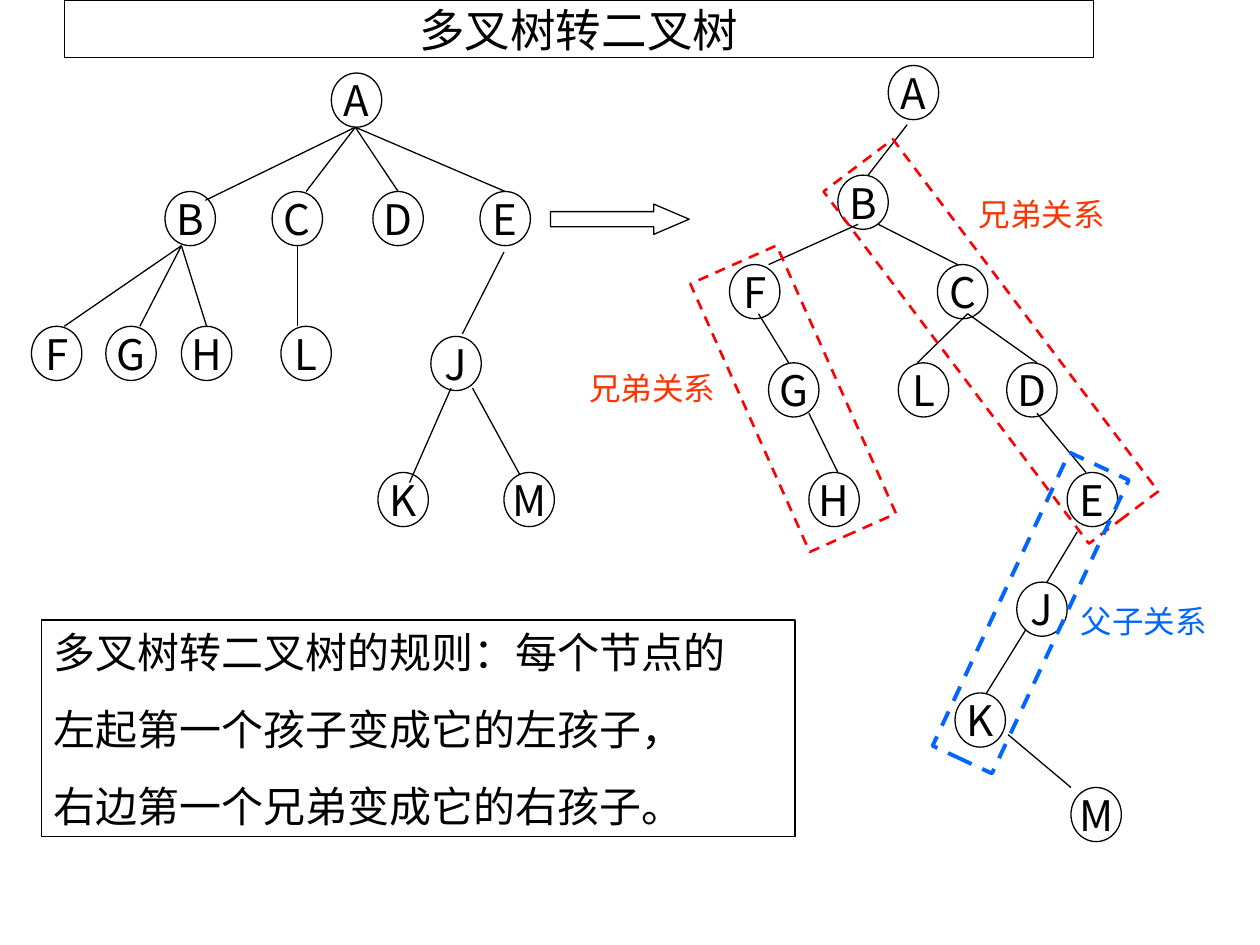
import pptx
import pptx.dml.color
import pptx.enum.dml
import pptx.enum.shapes
import pptx.enum.text
import pptx.oxml.ns
import pptx.util
from lxml import etree
from pptx.util import Inches

RGBColor = pptx.dml.color.RGBColor
SHAPE = pptx.enum.shapes.MSO_SHAPE
ALIGN = pptx.enum.text.PP_ALIGN
ANCHOR = pptx.enum.text.MSO_ANCHOR

BLACK = RGBColor(0x00, 0x00, 0x00)
WHITE = RGBColor(0xFF, 0xFF, 0xFF)
RED = RGBColor(0xFF, 0x00, 0x00)
ORANGE = RGBColor(0xFF, 0x33, 0x00)
BLUE = RGBColor(0x00, 0x66, 0xFF)

NODE_WIDTH, NODE_HEIGHT = 0.4, 0.43

# Node corners and edge fans (start point, end points), in inches from the tree's corner
MULTIWAY_NODES = {
    "A": (2.38, 0), "B": (1.06, 0.94), "C": (1.91, 0.94), "D": (2.71, 0.94),
    "E": (3.56, 0.94), "F": (0, 2.01), "G": (0.59, 2.01), "H": (1.19, 2.01),
    "L": (1.98, 2.01), "J": (3.17, 2.09), "K": (2.75, 3.17), "M": (3.75, 3.17),
}
MULTIWAY_EDGES = [
    ((2.57, 0.43), [(1.38, 1.01), (2.18, 0.94), (2.91, 0.94), (3.76, 0.94)]),
    ((1.19, 1.37), [(0.26, 2.01), (0.86, 2.01), (1.39, 2.01)]),
    ((2.11, 1.37), [(2.11, 2.01)]),
    ((3.75, 1.42), [(3.42, 2.07)]),
    ((3.33, 2.5), [(3, 3.25)]),
    ((3.5, 2.5), [(3.91, 3.25)]),
]
BINARY_NODES = {
    "A": (1.26, 0), "B": (0.86, 0.87), "C": (1.65, 1.58), "D": (2.2, 2.36),
    "E": (2.68, 3.23), "F": (0, 1.58), "G": (0.31, 2.36), "H": (0.63, 3.23),
    "L": (1.34, 2.36), "J": (2.28, 4.1), "K": (1.79, 4.98), "M": (2.71, 5.73),
}
BINARY_EDGES = [
    ((1.41, 0.47), [(1.1, 0.87)]),
    ((1.02, 1.26), [(0.31, 1.58)]),
    ((1.18, 1.26), [(1.81, 1.58)]),
    ((0.23, 1.97), [(0.47, 2.36)]),
    ((1.89, 1.97), [(1.49, 2.36), (2.44, 2.36)]),
    ((0.63, 2.76), [(0.86, 3.23)]),
    ((2.44, 2.76), [(2.83, 3.23)]),
    ((2.76, 3.7), [(2.52, 4.1)]),
    ((2.35, 4.48), [(2.04, 4.98)]),
    ((2.21, 5.31), [(2.71, 5.73)]),
]


def add_outline(page, kind, box, fill=None, color=BLACK, width=0.75):
    shape = page.shapes.add_shape(kind, *map(Inches, box))
    shape.shadow.inherit = False
    if fill is None:
        shape.fill.background()
    else:
        shape.fill.solid()
        shape.fill.fore_color.rgb = fill
    shape.line.color.rgb = color
    shape.line.width = pptx.util.Pt(width)
    return shape


def write_text(shape, text, size, font, color=BLACK, align=ALIGN.LEFT,
               anchor=ANCHOR.TOP, wrap=True, side=0.1):
    frame = shape.text_frame
    frame.text = text
    frame.word_wrap = wrap
    frame.vertical_anchor = anchor
    frame.margin_left = frame.margin_right = Inches(side)
    frame.margin_top = frame.margin_bottom = Inches(0.05)
    for para in frame.paragraphs:
        para.alignment = align
        for span in para.runs:
            span.font.size = pptx.util.Pt(size)
            span.font.name = font
            span.font.color.rgb = color
            # East Asian characters take their typeface from a:ea
            east_asian = etree.SubElement(span.font._element, pptx.oxml.ns.qn("a:ea"))
            east_asian.set("typeface", "Noto Sans CJK SC" if font == "Arial" else font)
    return frame


def add_node(page, name, left, top):
    node = add_outline(page, SHAPE.OVAL, (left, top, NODE_WIDTH, NODE_HEIGHT), WHITE)
    write_text(node, name, 24, "Noto Sans CJK JP", align=ALIGN.CENTER,
               anchor=ANCHOR.MIDDLE, wrap=False)


def add_edge(page, start, end):
    edge = page.shapes.add_connector(pptx.enum.shapes.MSO_CONNECTOR.STRAIGHT,
                                     *map(Inches, (*start, *end)))
    edge.line.color.rgb = BLACK
    edge.line.width = pptx.util.Pt(0.75)
    etree.SubElement(edge._element.spPr, pptx.oxml.ns.qn("a:effectLst"))


def add_tree(page, corner, nodes, edges):
    def place(point):
        return corner[0] + point[0], corner[1] + point[1]

    # The last node covers the end of its edge
    *back_names, front_name = nodes
    for name in back_names:
        add_node(page, name, *place(nodes[name]))
    for start, ends in edges:
        for end in ends:
            add_edge(page, place(start), place(end))
    add_node(page, front_name, *place(nodes[front_name]))


def add_relation(page, frame_box, angle, frame_color, width, text, text_corner, text_color):
    frame = add_outline(page, SHAPE.RECTANGLE, frame_box, color=frame_color, width=width)
    frame.rotation = angle
    frame.line.dash_style = pptx.enum.dml.MSO_LINE.DASH
    label = page.shapes.add_textbox(*map(Inches, (*text_corner, 1.33, 0.4)))
    write_text(label, text, 18, "Arial", text_color)


def add_title(page, box):
    title = add_outline(page, SHAPE.RECTANGLE, box)
    write_text(title, "多叉树转二叉树", 26, "Arial", align=ALIGN.CENTER,
               anchor=ANCHOR.MIDDLE, side=0.05)


def add_rule(page, box):
    rule = add_outline(page, SHAPE.RECTANGLE, box, WHITE)
    frame = write_text(rule, "多叉树转二叉树的规则：每个节点的\n"
                             "左起第一个孩子变成它的左孩子，\n"
                             "右边第一个兄弟变成它的右孩子。", 24, "Noto Sans CJK SC")
    for index, para in enumerate(frame.paragraphs):
        para.line_spacing = pptx.util.Pt(29)
        if index:
            para.space_before = pptx.util.Pt(15)


def main():
    deck = pptx.Presentation()
    deck.slide_width, deck.slide_height = Inches(10), Inches(7.5)
    page = deck.slides.add_slide(deck.slide_layouts[6])

    add_title(page, (0.51, 0, 8.17, 0.46))

    # Multiway tree, arrow, binary tree
    add_tree(page, (0.25, 0.58), MULTIWAY_NODES, MULTIWAY_EDGES)
    arrow = add_outline(page, SHAPE.RIGHT_ARROW, (4.37, 1.62, 1.1, 0.24), WHITE)
    arrow.adjustments[1] = 1.17
    add_tree(page, (5.79, 0.52), BINARY_NODES, BINARY_EDGES)

    # Sibling and parent-child chains
    add_relation(page, (5.92, 2, 0.75, 2.33), 336, RED, 1.5, "兄弟关系", (4.58, 2.88), ORANGE)
    add_relation(page, (7.52, 0.96, 0.69, 3.5), 323, RED, 1.5, "兄弟关系", (7.67, 1.5), ORANGE)
    add_relation(page, (7.92, 3.58, 0.52, 2.57), 25, BLUE, 2.25, "父子关系", (8.48, 4.73), BLUE)

    add_rule(page, (0.33, 4.92, 5.98, 1.72))
    deck.save("out.pptx")


if __name__ == "__main__":
    main()
